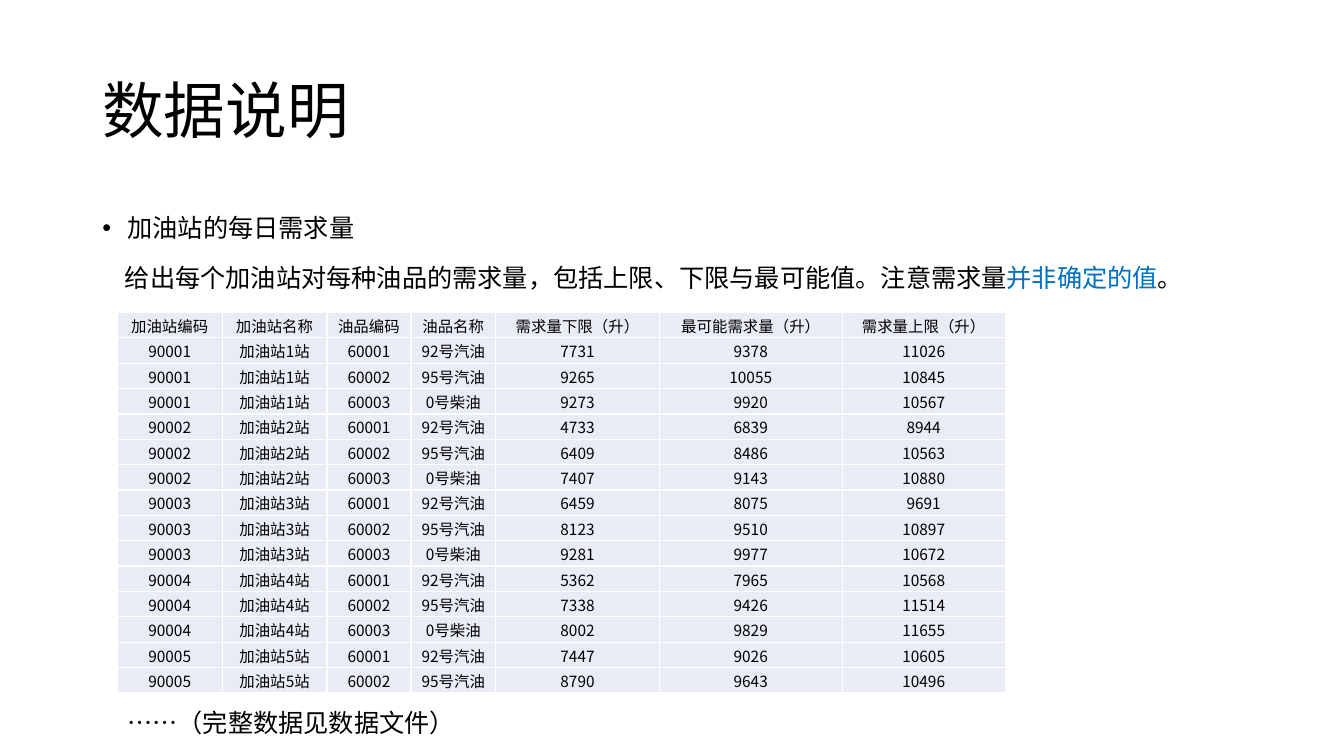
from dataclasses import dataclass

from lxml.etree import SubElement
from pptx import Presentation
from pptx.dml.color import RGBColor
from pptx.enum.text import MSO_ANCHOR, MSO_AUTO_SIZE, PP_ALIGN
from pptx.oxml import parse_xml
from pptx.oxml.ns import nsdecls, qn
from pptx.slide import Slide
from pptx.table import _Cell
from pptx.text.text import TextFrame, _Paragraph
from pptx.util import Pt

FONT = "Noto Sans CJK SC"
BLACK, BLUE, WHITE, CELL_FILL = "000000", "0070C0", "FFFFFF", "E9EBF5"
CELL_INSET = 0.72
ROW_HEIGHT = 18.14


@dataclass(frozen=True)
class Box:
    left: float
    top: float
    width: float
    height: float


@dataclass(frozen=True)
class Column:
    heading: str
    width: float


@dataclass(frozen=True)
class Demand:
    lower: int
    likely: int
    upper: int


COLUMNS = [
    Column("加油站编码", 74.9),
    Column("加油站名称", 74.9),
    Column("油品编码", 60),
    Column("油品名称", 60.5),
    Column("需求量下限（升）", 117),
    Column("最可能需求量（升）", 130.5),
    Column("需求量上限（升）", 116.6),
]
PRODUCTS = ["92号汽油", "95号汽油", "0号柴油"]
DEMANDS = [
    Demand(7731, 9378, 11026),
    Demand(9265, 10055, 10845),
    Demand(9273, 9920, 10567),
    Demand(4733, 6839, 8944),
    Demand(6409, 8486, 10563),
    Demand(7407, 9143, 10880),
    Demand(6459, 8075, 9691),
    Demand(8123, 9510, 10897),
    Demand(9281, 9977, 10672),
    Demand(5362, 7965, 10568),
    Demand(7338, 9426, 11514),
    Demand(8002, 9829, 11655),
    Demand(7447, 9026, 10605),
    Demand(8790, 9643, 10496),
]


def color(hex_value: str) -> RGBColor:
    return RGBColor.from_string(hex_value)


def style_paragraph(paragraph: _Paragraph, size: float) -> None:
    font = paragraph.font
    font.size = Pt(size)
    font.fill.solid()
    font.fill.fore_color.rgb = color(BLACK)
    font.name = FONT
    defaults = paragraph._p.get_or_add_pPr().find(qn("a:defRPr"))
    SubElement(defaults, qn("a:ea"), typeface=FONT)


def add_text_frame(slide: Slide, box: Box) -> TextFrame:
    frame = slide.shapes.add_textbox(
        Pt(box.left), Pt(box.top), Pt(box.width), Pt(box.height)
    ).text_frame
    frame.word_wrap = True
    return frame


def add_bullet(paragraph: _Paragraph, hanging: float) -> None:
    properties = paragraph._p.get_or_add_pPr()
    properties.set("marL", str(Pt(hanging)))
    properties.set("indent", str(-Pt(hanging)))
    defaults = properties.find(qn("a:defRPr"))
    defaults.addprevious(parse_xml(f'<a:buFont {nsdecls("a")} typeface="Arial"/>'))
    defaults.addprevious(parse_xml(f'<a:buChar {nsdecls("a")} char="•"/>'))


def add_title(slide: Slide) -> None:
    frame = add_text_frame(slide, Box(66, 28.8, 828, 104.4))
    frame.vertical_anchor = MSO_ANCHOR.MIDDLE
    title = frame.paragraphs[0]
    title.text = "数据说明"
    title.line_spacing = 0.9
    style_paragraph(title, 44)


def add_description(slide: Slide) -> None:
    frame = add_text_frame(slide, Box(66, 143.8, 828, 116))
    topic, explanation = frame.paragraphs[0], frame.add_paragraph()
    topic.text = "加油站的每日需求量"
    explanation.add_run().text = (
        "给出每个加油站对每种油品的需求量，包括上限、下限与最可能值。注意需求量"
    )
    emphasis = explanation.add_run()
    emphasis.text = "并非确定的值"
    emphasis.font.color.rgb = color(BLUE)
    explanation.add_run().text = "。"
    for paragraph in (topic, explanation):
        paragraph.line_spacing = 1.2
        paragraph.space_before = Pt(10)
        style_paragraph(paragraph, 18)
    add_bullet(topic, 18)
    explanation._p.get_or_add_pPr().set("indent", str(Pt(16.1)))


def fill_cell(cell: _Cell, text: str) -> None:
    cell.margin_left = cell.margin_right = cell.margin_top = Pt(CELL_INSET)
    cell.margin_bottom = Pt(0)
    cell.vertical_anchor = MSO_ANCHOR.MIDDLE
    properties = cell._tc.get_or_add_tcPr()
    for side in ("lnL", "lnR", "lnT", "lnB"):
        border = SubElement(properties, qn(f"a:{side}"), w=str(Pt(1)))
        line_fill = SubElement(border, qn("a:solidFill"))
        SubElement(line_fill, qn("a:srgbClr"), val=WHITE)
    cell.fill.solid()
    cell.fill.fore_color.rgb = color(CELL_FILL)
    paragraph = cell.text_frame.paragraphs[0]
    paragraph.text = text
    paragraph.alignment = PP_ALIGN.CENTER
    style_paragraph(paragraph, 11)


def demand_rows() -> list[list[str]]:
    rows = [[column.heading for column in COLUMNS]]
    for index, demand in enumerate(DEMANDS):
        station, product = divmod(index, len(PRODUCTS))
        rows.append([
            str(90001 + station),
            f"加油站{station + 1}站",
            str(60001 + product),
            PRODUCTS[product],
            str(demand.lower),
            str(demand.likely),
            str(demand.upper),
        ])
    return rows


def add_demand_table(slide: Slide) -> None:
    rows = demand_rows()
    table = slide.shapes.add_table(
        len(rows), len(COLUMNS), Pt(83.8), Pt(223.2),
        Pt(sum(column.width for column in COLUMNS)), Pt(ROW_HEIGHT * len(rows)),
    ).table
    table.first_row = False
    table.horz_banding = False
    for table_column, column in zip(table.columns, COLUMNS):
        table_column.width = Pt(column.width)
    for row_index, values in enumerate(rows):
        table.rows[row_index].height = Pt(ROW_HEIGHT)
        for column_index, value in enumerate(values):
            fill_cell(table.cell(row_index, column_index), value)


def add_footnote(slide: Slide) -> None:
    frame = add_text_frame(slide, Box(83.8, 501.8, 480, 29))
    frame.auto_size = MSO_AUTO_SIZE.SHAPE_TO_FIT_TEXT
    footnote = frame.paragraphs[0]
    footnote.text = "……（完整数据见数据文件）"
    style_paragraph(footnote, 18)


def main() -> None:
    presentation = Presentation()
    presentation.slide_width = Pt(960)
    presentation.slide_height = Pt(540)
    slide = presentation.slides.add_slide(presentation.slide_layouts[6])
    add_title(slide)
    add_description(slide)
    add_demand_table(slide)
    add_footnote(slide)
    presentation.save("out.pptx")


if __name__ == "__main__":
    main()
